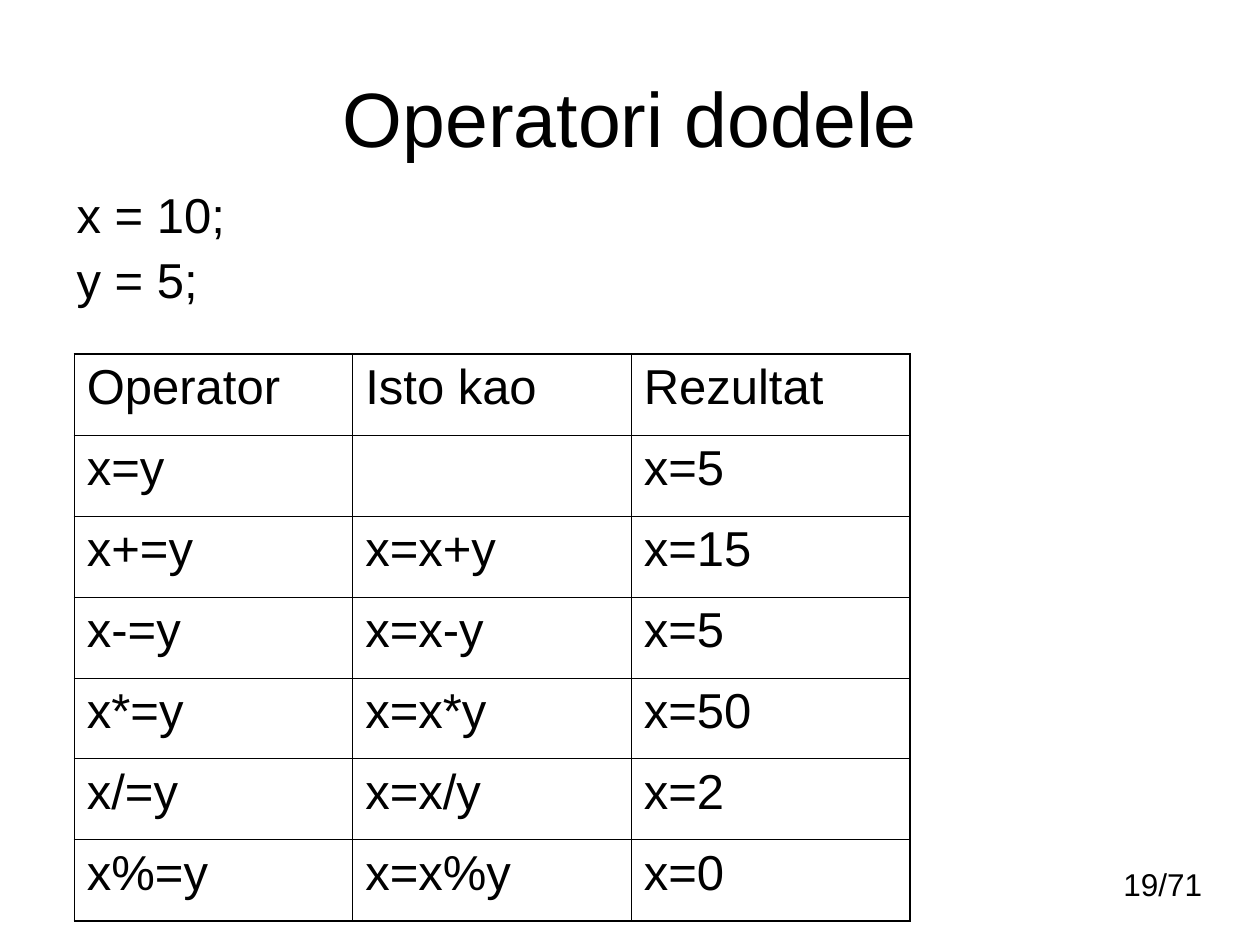
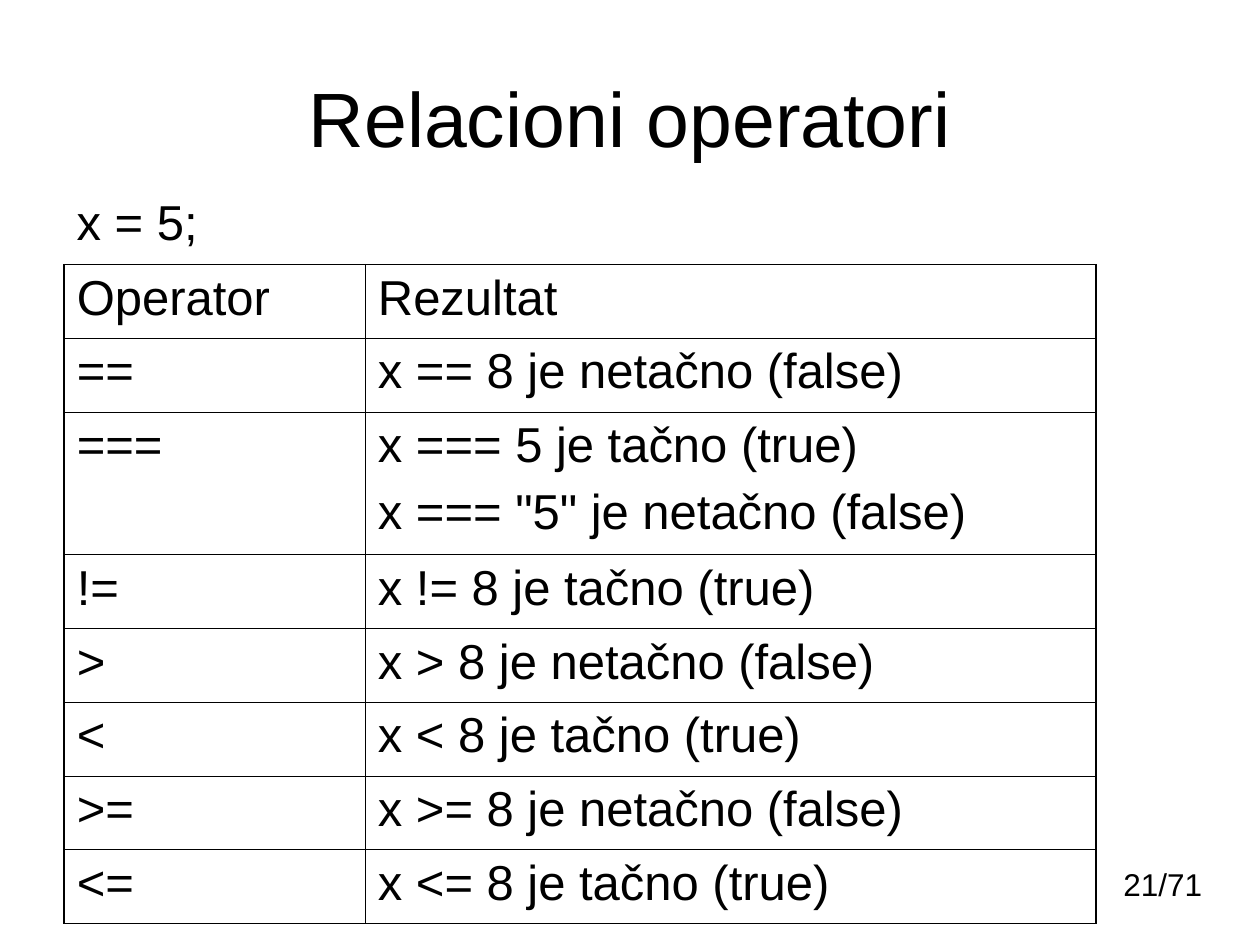
import lxml.etree
import pptx
import pptx.dml.color
import pptx.enum.text
import pptx.oxml.ns
import pptx.util

Inches = pptx.util.Inches
Pt = pptx.util.Pt
Align = pptx.enum.text.PP_ALIGN
Anchor = pptx.enum.text.MSO_ANCHOR

BLACK = pptx.dml.color.RGBColor(0x00, 0x00, 0x00)
FONT = "Arial"
TITLE_SIZE, BODY_SIZE, NUMBER_SIZE = 44, 28, 18
THICK, THIN = Pt(1.08), Pt(0.45)
TITLE_ONLY = 5
PAGE_COUNT = 71

TITLE_BOX = (0.5, 0.3, 9, 1.25)
INTRO_BOX = (0.51, 1.47, 4.42, 1.06)
NUMBER_BOX = (7.44, 6.82, 2.2, 0.4)

ASSIGNMENT_ROWS = [
    ("Operator", "Isto kao", "Rezultat"),
    ("x=y", "", "x=5"),
    ("x+=y", "x=x+y", "x=15"),
    ("x-=y", "x=x-y", "x=5"),
    ("x*=y", "x=x*y", "x=50"),
    ("x/=y", "x=x/y", "x=2"),
    ("x%=y", "x=x%y", "x=0"),
]
RELATION_ROWS = [
    ("Operator", "Rezultat"),
    ("==", "x == 8 je netačno (false)"),
    ("===", 'x === 5 je tačno (true)\nx === "5" je netačno (false)'),
    ("!=", "x != 8 je tačno (true)"),
    (">", "x > 8 je netačno (false)"),
    ("<", "x < 8 je tačno (true)"),
    (">=", "x >= 8 je netačno (false)"),
    ("<=", "x <= 8 je tačno (true)"),
]


def write_text(frame, text, size=BODY_SIZE, align=Align.LEFT, gap=7, line_spacing=1.0):
    """Fill a text frame, one paragraph per line, with gap points between them."""
    for index, line in enumerate(text.split("\n")):
        para = frame.add_paragraph() if index else frame.paragraphs[0]
        para.alignment = align
        para.line_spacing = line_spacing
        para.space_before = Pt(gap if index else 0)
        para.font.size = Pt(size)
        if line:
            span = para.add_run()
            span.text = line
            span.font.name = FONT
            span.font.size = Pt(size)
            span.font.color.rgb = BLACK


def add_title(page, box, text):
    title = page.shapes.title
    title.left, title.top, title.width, title.height = map(Inches, box)
    frame = title.text_frame
    frame.auto_size = pptx.enum.text.MSO_AUTO_SIZE.NONE
    frame.vertical_anchor = Anchor.MIDDLE
    write_text(frame, text, size=TITLE_SIZE, align=Align.CENTER)


def add_text(page, box, text, **text_format):
    frame = page.shapes.add_textbox(*map(Inches, box)).text_frame
    frame.word_wrap = True
    write_text(frame, text, **text_format)


def set_borders(cell, widths):
    """Draw the cell's sides; widths maps L, R, T and B, in that order."""
    properties = cell._tc.get_or_add_tcPr()
    for side, width in widths.items():
        line = lxml.etree.SubElement(
            properties, pptx.oxml.ns.qn(f"a:ln{side}"), w=str(int(width)))
        fill = lxml.etree.SubElement(line, pptx.oxml.ns.qn("a:solidFill"))
        lxml.etree.SubElement(fill, pptx.oxml.ns.qn("a:srgbClr"), val=str(BLACK))


def add_operator_table(page, box, rows, column_widths, tall_row_height=0):
    """Share the height equally among rows, apart from those with two lines."""
    row_count, column_count = len(rows), len(column_widths)
    table = page.shapes.add_table(row_count, column_count, *map(Inches, box)).table
    table.first_row = table.horz_banding = False
    for column, width in zip(table.columns, column_widths):
        column.width = Inches(width)

    is_tall = [any("\n" in text for text in row) for row in rows]
    tall_count = sum(is_tall)
    row_height = (box[3] - tall_count * tall_row_height) / (row_count - tall_count)
    for row_index, texts in enumerate(rows):
        height = tall_row_height if is_tall[row_index] else row_height
        table.rows[row_index].height = Inches(height)
        for column_index, text in enumerate(texts):
            cell = table.cell(row_index, column_index)
            write_text(cell.text_frame, text)
            set_borders(cell, {
                "L": THICK if column_index == 0 else THIN,
                "R": THICK if column_index == column_count - 1 else THIN,
                "T": THICK if row_index == 0 else THIN,
                "B": THICK if row_index == row_count - 1 else THIN,
            })
            cell.fill.background()


def add_page(deck, title, number, intro, intro_spacing=1.0):
    page = deck.slides.add_slide(deck.slide_layouts[TITLE_ONLY])
    add_text(page, NUMBER_BOX, f"{number}/{PAGE_COUNT}", size=NUMBER_SIZE, align=Align.RIGHT)
    add_title(page, TITLE_BOX, title)
    add_text(page, INTRO_BOX, intro, line_spacing=intro_spacing)
    return page


def main():
    deck = pptx.Presentation()
    deck.slide_width, deck.slide_height = Inches(10), Inches(7.5)

    page = add_page(deck, "Operatori dodele", 19, "x = 10;\ny = 5;", intro_spacing=0.9)
    add_operator_table(page, (0.59, 2.81, 6.63, 4.5), ASSIGNMENT_ROWS, [2.21] * 3)

    page = add_page(deck, "Relacioni operatori", 21, "x = 5;")
    add_operator_table(page, (0.51, 2.1, 8.19, 5.23), RELATION_ROWS, [2.39, 5.8],
                       tall_row_height=1.13)

    deck.save("out.pptx")


if __name__ == "__main__":
    main()
